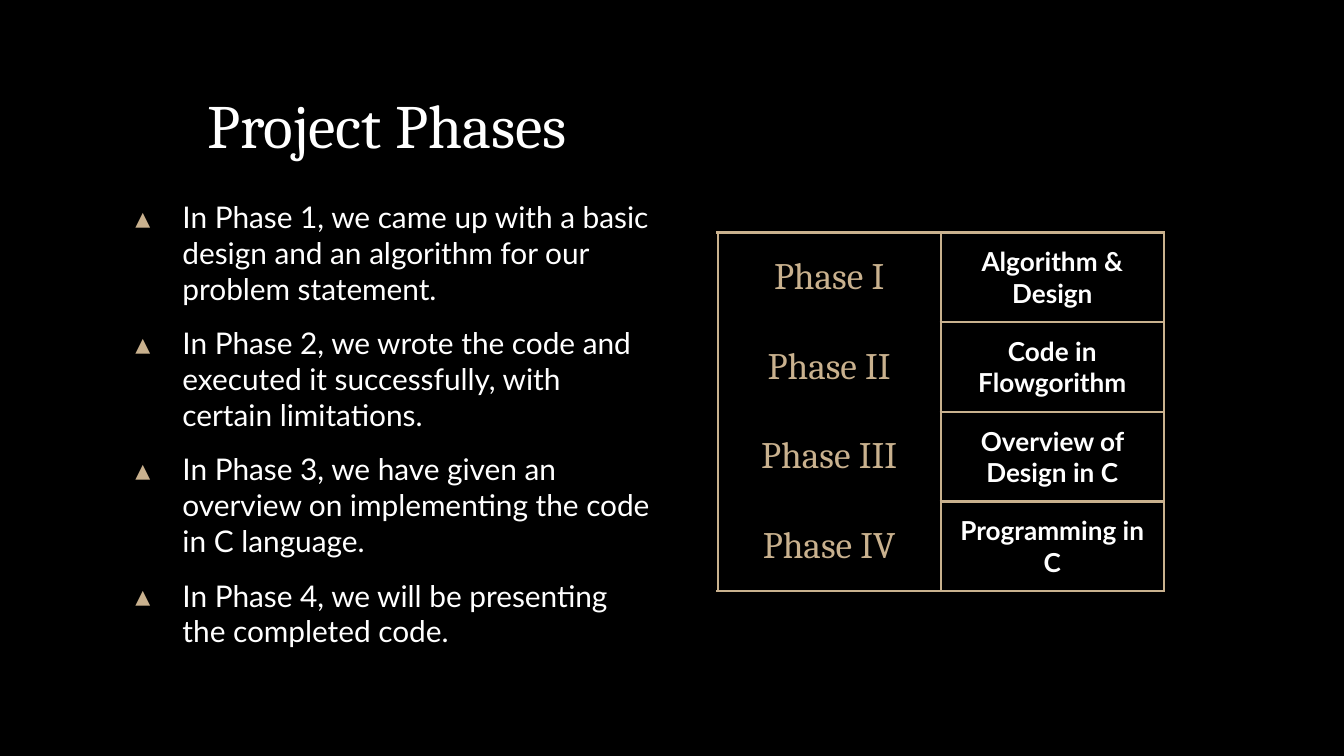
from dataclasses import dataclass

from lxml import etree
from pptx import Presentation
from pptx.dml.color import RGBColor
from pptx.enum import text
from pptx.oxml import ns
from pptx.util import Inches, Pt


@dataclass(frozen=True)
class Theme:
    background: str = "000000"
    ink: str = "FFFFFF"
    accent: str = "C9B18E"
    heading_font: str = "Cambria"
    body_font: str = "Lato"
    title_size: float = 33
    body_size: float = 16
    phase_size: float = 20
    topic_size: float = 14
    border: float = 1.5


THEME = Theme()
POINTS = [
    "In Phase 1, we came up with a basic design and an algorithm for our problem statement.",
    "In Phase 2, we wrote the code and executed it successfully, with certain limitations.",
    "In Phase 3, we have given an overview on implementing the code in C language.",
    "In Phase 4, we will be presenting the completed code.",
]
PHASES = [
    ("Phase I", "Algorithm & Design"),
    ("Phase II", "Code in Flowgorithm"),
    ("Phase III", "Overview of Design in C"),
    ("Phase IV", "Programming in C"),
]


def add_run(p, words, size, font, color, bold=False):
    r = p.add_run()
    r.text = words
    r.font.size = Pt(size)
    r.font.name = font
    r.font.bold = bold
    r.font.color.rgb = RGBColor.from_string(color)


def set_insets(frame):
    """Give a text frame or a table cell the same margin on every side."""
    for side in ("left", "top", "right", "bottom"):
        setattr(frame, f"margin_{side}", Inches(0.1))


def add_color(parent, color):
    etree.SubElement(parent, ns.qn("a:srgbClr"), val=color)


def set_bullet(p):
    pPr = p._p.get_or_add_pPr()
    pPr.set("marL", str(Inches(0.5)))
    pPr.set("indent", str(Inches(-0.35)))
    add_color(etree.SubElement(pPr, ns.qn("a:buClr")), THEME.accent)
    etree.SubElement(pPr, ns.qn("a:buFont"), typeface=THEME.body_font)
    etree.SubElement(pPr, ns.qn("a:buChar"), char="▴")


def set_borders(cell, sides):
    """Draw the named sides (L, R, T, B) and hide the others."""
    tcPr = cell._tc.get_or_add_tcPr()
    for position, side in enumerate("LRTB"):
        ln = etree.Element(ns.qn(f"a:ln{side}"), w=str(Pt(THEME.border)))
        if side in sides:
            add_color(etree.SubElement(ln, ns.qn("a:solidFill")), THEME.accent)
        else:
            etree.SubElement(ln, ns.qn("a:noFill"))
        tcPr.insert(position, ln)


def set_title(s, words):
    title = s.shapes.title
    title.left, title.top = Inches(0.76), Inches(0.54)
    title.width, title.height = Inches(4.24), Inches(0.77)
    tf = title.text_frame
    set_insets(tf)
    tf.vertical_anchor = text.MSO_ANCHOR.MIDDLE
    p = tf.paragraphs[0]
    p.alignment = text.PP_ALIGN.CENTER
    add_run(p, words, THEME.title_size, THEME.heading_font, THEME.ink)


def add_bullets(s, points):
    box = s.shapes.add_textbox(Inches(0.76), Inches(1.38), Inches(4.24), Inches(2.86))
    tf = box.text_frame
    tf.word_wrap = True
    set_insets(tf)
    tf.margin_right = Inches(0.14)
    for i, point in enumerate(points):
        p = tf.add_paragraph() if i else tf.paragraphs[0]
        p.space_before = Pt(10 if i else 0)
        set_bullet(p)
        add_run(p, point, THEME.body_size, THEME.body_font, THEME.ink)


def fill_cell(cell, words, size, font, color, bold, sides):
    cell.fill.background()
    cell.vertical_anchor = text.MSO_ANCHOR.MIDDLE
    set_insets(cell)
    set_borders(cell, sides)
    p = cell.text_frame.paragraphs[0]
    p.alignment = text.PP_ALIGN.CENTER
    add_run(p, words, size, font, color, bold)


def add_phase_table(s, phases):
    frame = s.shapes.add_table(len(phases), 2, Inches(5.34), Inches(1.73),
                               Inches(3.32), Inches(2.67))
    table = frame.table
    table.first_row = table.horz_banding = False
    last = len(phases) - 1
    for i, (phase, topic) in enumerate(phases):
        sides = "LR" + ("T" if i == 0 else "") + ("B" if i == last else "")
        fill_cell(table.cell(i, 0), phase, THEME.phase_size, THEME.heading_font,
                  THEME.accent, False, sides)
        fill_cell(table.cell(i, 1), topic, THEME.topic_size, THEME.body_font,
                  THEME.ink, True, "LRTB")


def main():
    prs = Presentation()
    prs.slide_width, prs.slide_height = Inches(10), Inches(10 * 9 / 16)
    s = prs.slides.add_slide(prs.slide_layouts[5])
    s.background.fill.solid()
    s.background.fill.fore_color.rgb = RGBColor.from_string(THEME.background)
    set_title(s, "Project Phases")
    add_bullets(s, POINTS)
    add_phase_table(s, PHASES)
    prs.save("out.pptx")


if __name__ == "__main__":
    main()
